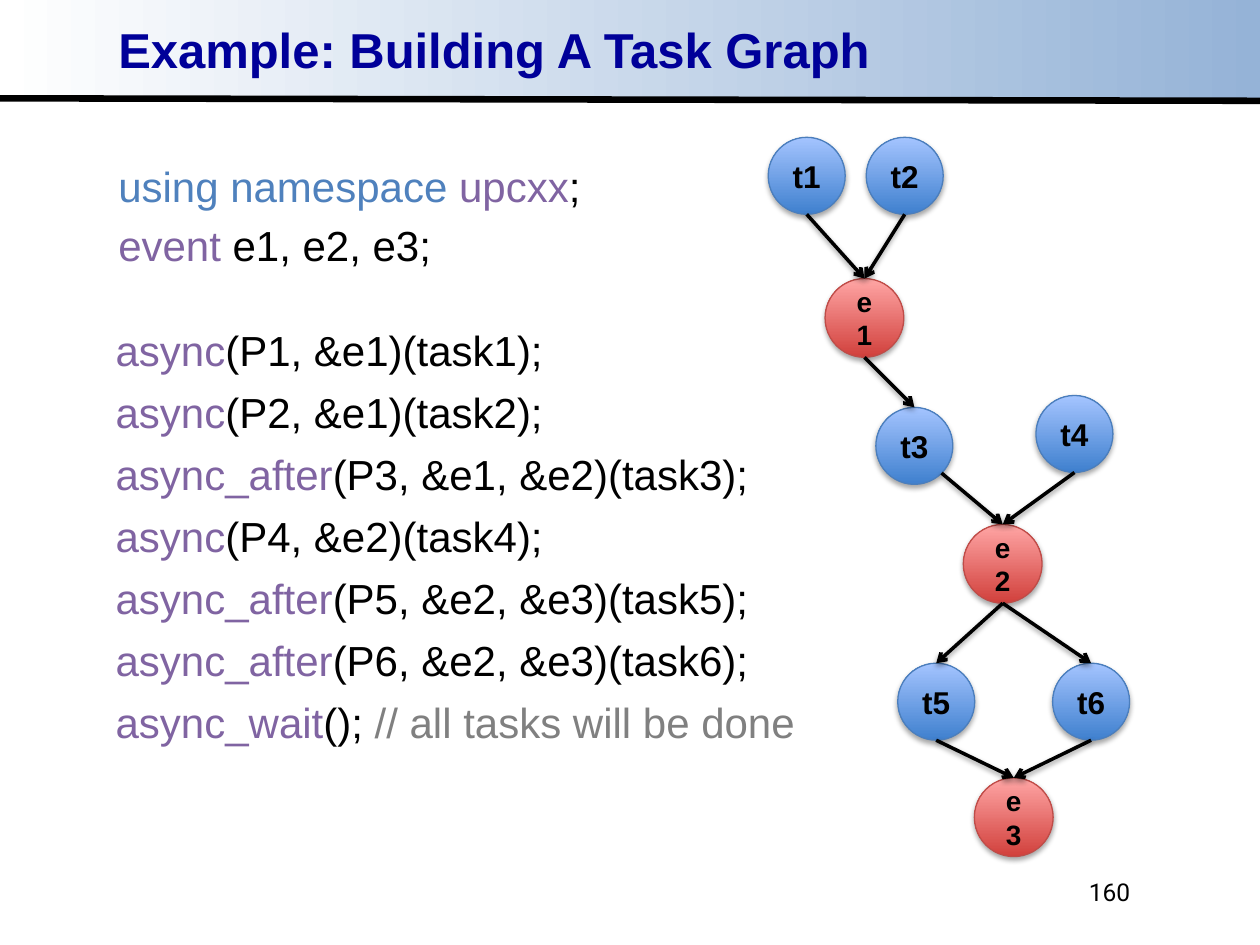
from dataclasses import dataclass
from math import cos, pi, sin

from lxml.etree import SubElement as Sub
from pptx import Presentation
from pptx.dml.color import RGBColor as RGB
from pptx.enum.shapes import MSO_CONNECTOR as Connector, MSO_SHAPE as Preset
from pptx.enum.text import MSO_ANCHOR as Anchor, MSO_AUTO_SIZE as AutoSize, PP_ALIGN as Align
from pptx.oxml.ns import qn
from pptx.util import Pt


@dataclass(frozen=True)
class Theme:
    font: str = "Arial"
    number_font: str = "Roboto"
    title_size: int = 28
    code_size: int = 24
    task_size: int = 18
    event_size: int = 16
    number_size: int = 14
    title: str = "000099"
    text: str = "000000"
    keyword: str = "4F81BD"
    name: str = "8064A2"
    comment: str = "808080"
    banner: tuple = ("95B3D7", "FFFFFF")
    task: tuple = ("3F80CE", "A4C4FF")
    task_edge: str = "4B7EBC"
    event: tuple = ("D1403C", "FFA6A5")
    event_edge: str = "BF4C48"


class TaskGraphSlide:
    """Holds the theme and the current slide; all lengths are in points."""

    def __init__(self, theme, slide):
        self.theme = theme
        self.slide = slide

    def style(self, run, size, color, bold=False, font=None):
        run.font.name = font or self.theme.font
        run.font.size = Pt(size)
        run.font.bold = bold
        run.font.color.rgb = RGB.from_string(color)

    def gradient(self, shape, colors, angle):
        shape.fill.gradient()
        shape.fill.gradient_angle = angle
        for stop, color in zip(shape.fill.gradient_stops, colors):
            stop.color.rgb = RGB.from_string(color)

    def shadow(self, effects, distance, opacity):
        outer = Sub(effects, qn("a:outerShdw"), blurRad=str(Pt(3.1)),
                    dist=str(Pt(distance)), dir="5400000", rotWithShape="0")
        color = Sub(outer, qn("a:srgbClr"), val="000000")
        Sub(color, qn("a:alpha"), val=str(opacity * 1000))

    def place(self, placeholder, left, top, width, height):
        placeholder.left, placeholder.top = Pt(left), Pt(top)
        placeholder.width, placeholder.height = Pt(width), Pt(height)
        frame = placeholder.text_frame
        frame.margin_left = frame.margin_right = Pt(5)
        frame.margin_top = frame.margin_bottom = Pt(2.2)
        frame.vertical_anchor = Anchor.TOP
        frame.auto_size = AutoSize.NONE
        return frame

    def line(self, start, end, width):
        """Draw a black line and return it with its empty effect list."""
        line = self.slide.shapes.add_connector(
            Connector.STRAIGHT, *(Pt(value) for value in (*start, *end)))
        line.line.width = Pt(width)
        line.line.color.rgb = RGB.from_string(self.theme.text)
        return line, Sub(line._element.spPr, qn("a:effectLst"))

    def banner(self):
        """Put the banner and its rule behind the placeholders."""
        band = self.slide.shapes.add_shape(Preset.RECTANGLE, 0, 0, Pt(720), Pt(57.6))
        self.gradient(band, self.theme.banner, 180)
        band.line.fill.background()
        band.shadow.inherit = False
        rule, _ = self.line((0, 56.2), (720, 57.6), 3.75)
        for part in (band, rule):
            self.slide.shapes.title._element.addprevious(part._element)

    def title(self, text):
        frame = self.place(self.slide.shapes.title, 62.6, 13.7, 615, 34.6)
        frame.text = text
        paragraph = frame.paragraphs[0]
        paragraph.alignment = Align.LEFT
        paragraph.line_spacing = 0.87
        self.style(paragraph.runs[0], self.theme.title_size, self.theme.title, bold=True)

    def code(self, paragraph, pieces):
        for text, color in pieces:
            run = paragraph.add_run()
            run.text = text
            self.style(run, self.theme.code_size, color)

    def declarations(self, lines):
        frame = self.place(self.slide.placeholders[1], 62.6, 89.3, 342.7, 66.2)
        for index, pieces in enumerate(lines):
            paragraph = frame.add_paragraph() if index else frame.paragraphs[0]
            paragraph.space_before = Pt(5 if index else 0)
            properties = paragraph._p.get_or_add_pPr()
            properties.set("marL", "0")
            properties.set("indent", "0")
            Sub(properties, qn("a:buNone"))
            self.code(paragraph, pieces)

    def text_box(self, left, top, width, height=36):
        box = self.slide.shapes.add_textbox(Pt(left), Pt(top), Pt(width), Pt(height))
        box.text_frame.word_wrap = True
        return box.text_frame

    def statement(self, top, pieces):
        self.code(self.text_box(59, top, 458).paragraphs[0], pieces)

    def page_number(self, number):
        frame = self.text_box(516.2, 491.8, 136.8)
        frame.vertical_anchor = Anchor.MIDDLE
        frame.text = number
        frame.paragraphs[0].alignment = Align.RIGHT
        self.style(frame.paragraphs[0].runs[0], self.theme.number_size,
                   self.theme.text, font=self.theme.number_font)

    def node(self, label, center, diameter, size, colors, edge):
        x, y = center
        circle = self.slide.shapes.add_shape(
            Preset.OVAL, Pt(x - diameter / 2), Pt(y - diameter / 2),
            Pt(diameter), Pt(diameter))
        self.gradient(circle, colors, 90)
        circle.line.color.rgb = RGB.from_string(edge)
        circle.line.width = Pt(0.75)
        circle.shadow.inherit = False
        self.shadow(circle._element.spPr.find(qn("a:effectLst")), 1.8, 35)
        frame = circle.text_frame
        frame.word_wrap = True
        frame.vertical_anchor = Anchor.MIDDLE
        frame.text = label
        frame.paragraphs[0].alignment = Align.CENTER
        self.style(frame.paragraphs[0].runs[0], size, self.theme.text, bold=True)

    def arrow(self, start, end):
        arrow, effects = self.line(start, end, 2)
        Sub(arrow.line._get_or_add_ln(), qn("a:tailEnd"), type="arrow")
        self.shadow(effects, 1.6, 38)


def rim(center, diameter, degrees):
    """Point on a circle, with degrees clockwise from the right."""
    angle = degrees * pi / 180
    return (center[0] + diameter / 2 * cos(angle), center[1] + diameter / 2 * sin(angle))


def main():
    theme = Theme()
    deck = Presentation()
    deck.slide_width, deck.slide_height = Pt(720), Pt(540)
    page = TaskGraphSlide(theme, deck.slides.add_slide(deck.slide_layouts[1]))

    page.banner()
    page.title("Example: Building A Task Graph")
    page.declarations([
        [("using namespace ", theme.keyword), ("upcxx", theme.name), (";", theme.text)],
        [("event", theme.name), (" e1, e2, e3;", theme.text)],
    ])

    centers = {
        "t1": (461, 100.5), "t2": (517, 100.5), "e1": (494, 181.7),
        "t3": (522.5, 254.8), "t4": (614, 248), "e2": (573, 322.2),
        "t5": (535, 401), "t6": (623.5, 401), "e3": (579.3, 467),
    }
    looks = {
        "t": (44, theme.task_size, theme.task, theme.task_edge),
        "e": (45, theme.event_size, theme.event, theme.event_edge),
    }
    for label, center in centers.items():
        page.node(label, center, *looks[label[0]])

    edges = ["t1 e1", "t2 e1", "e1 t3", "t3 e2", "t4 e2",
             "e2 t5", "e2 t6", "t5 e3", "t6 e3"]
    for source, target in map(str.split, edges):
        leaving = 45 if source == "t3" else 90
        page.arrow(rim(centers[source], looks[source[0]][0], leaving),
                   rim(centers[target], looks[target[0]][0], 270))

    statements = [
        ("async", "(P1, &e1)(task1);"),
        ("async", "(P2, &e1)(task2);"),
        ("async_after", "(P3, &e1, &e2)(task3);"),
        ("async", "(P4, &e2)(task4);"),
        ("async_after", "(P5, &e2, &e3)(task5);"),
        ("async_after", "(P6, &e2, &e3)(task6);"),
        ("async_wait", "(); ", "// all tasks will be done"),
    ]
    for row, pieces in enumerate(statements):
        page.statement(182 + 35.4 * row,
                       zip(pieces, (theme.name, theme.text, theme.comment)))

    page.page_number("160")
    deck.save("out.pptx")


if __name__ == "__main__":
    main()
